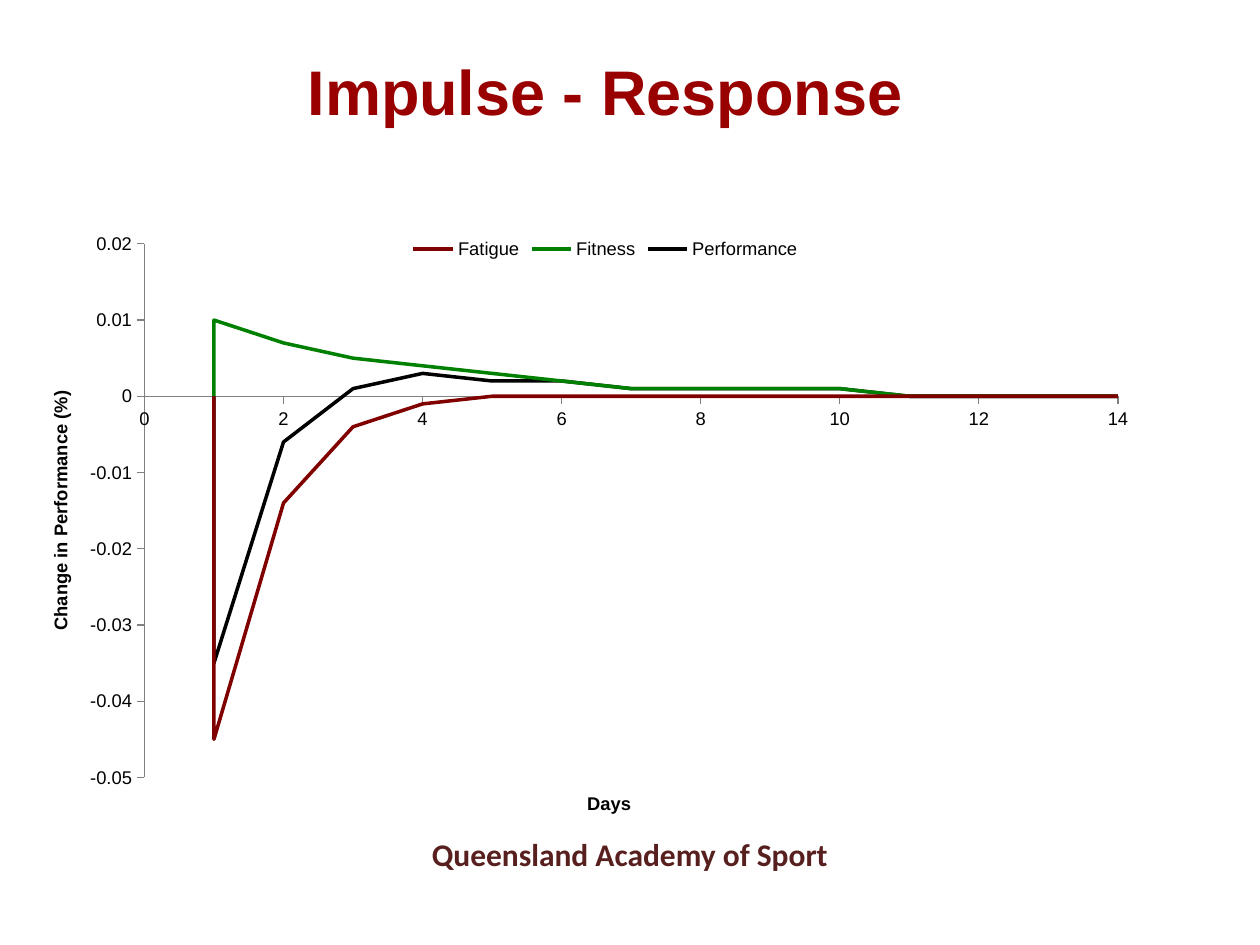
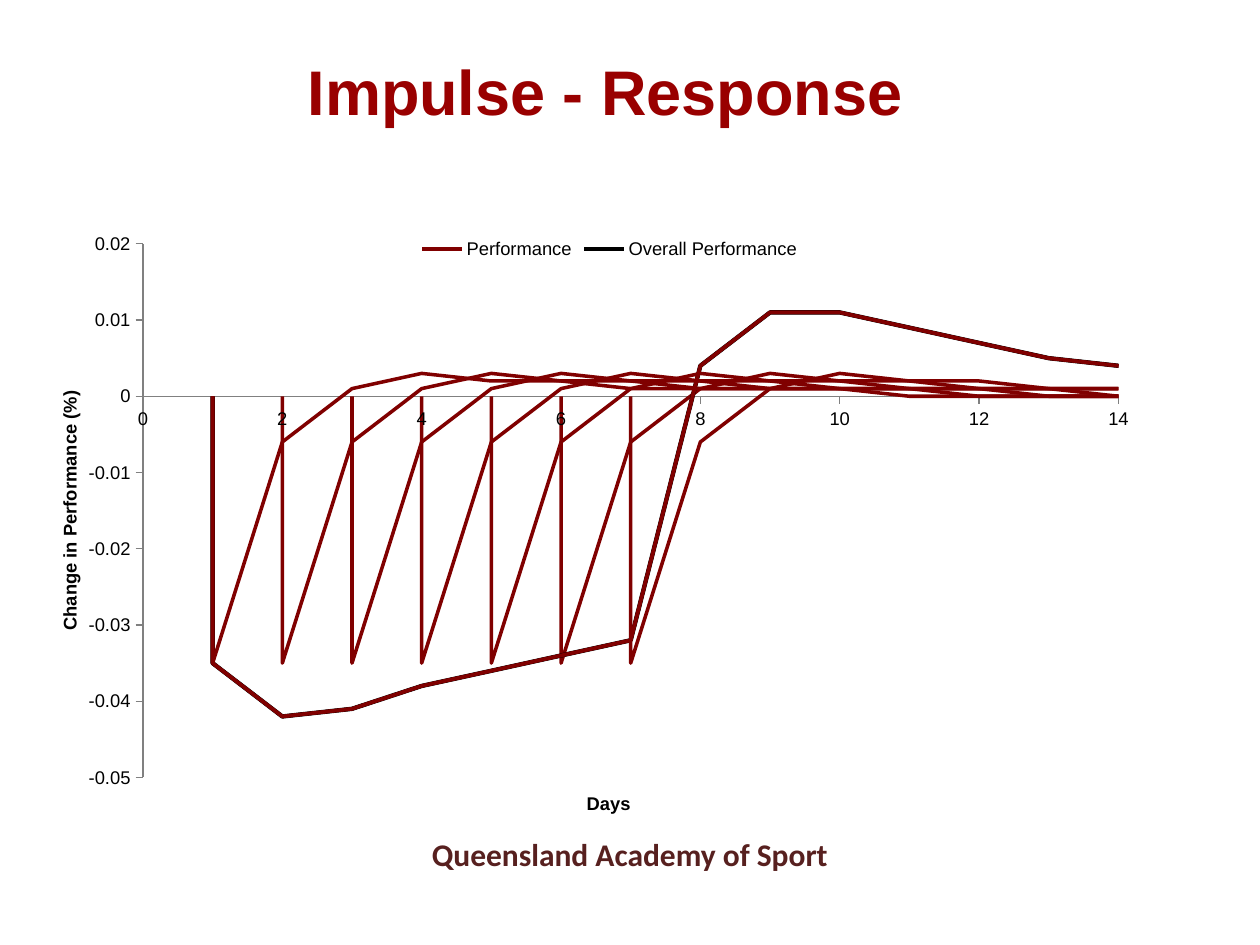
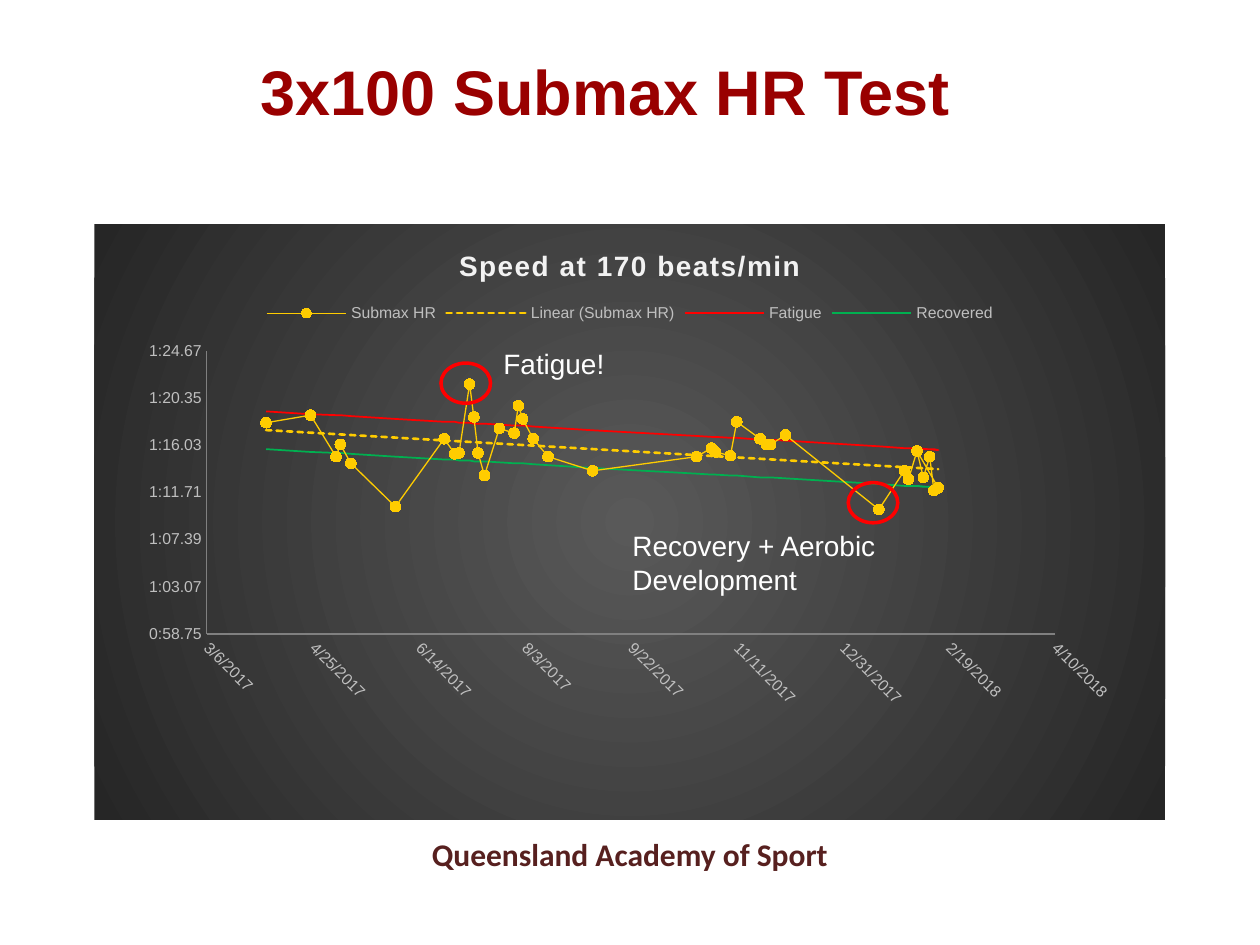
from pptx import Presentation
from pptx.chart.data import XyChartData
from pptx.dml.color import RGBColor
from pptx.enum.chart import XL_CHART_TYPE, XL_LEGEND_POSITION, XL_MARKER_STYLE, XL_TICK_MARK
from pptx.enum.shapes import MSO_SHAPE
from pptx.enum.text import MSO_ANCHOR, PP_ALIGN
from pptx.oxml import parse_xml
from pptx.oxml.ns import nsdecls, qn
from pptx.util import Cm, Pt

SCATTER = XL_CHART_TYPE.XY_SCATTER_LINES
TOP = XL_LEGEND_POSITION.TOP
DOT, BARE = XL_MARKER_STYLE.CIRCLE, XL_MARKER_STYLE.NONE
OUT, OFF = XL_TICK_MARK.OUTSIDE, XL_TICK_MARK.NONE
OVAL = MSO_SHAPE.OVAL
MIDDLE, UPPER = MSO_ANCHOR.MIDDLE, MSO_ANCHOR.TOP
LEFT, CENTER = PP_ALIGN.LEFT, PP_ALIGN.CENTER

HUES = {
    "title": "990000", "footer": "57201F", "black": "000000", "white": "FFFFFF",
    "maroon": "800000", "green": "008000", "axis": "808080", "pale": "BFBFBF",
    "head": "F2F2F2", "gold": "FFCC00", "red": "FF0000", "lime": "00B050",
    "mid": "595959", "edge": "262626",
}
FACE = "Arial"
DAYS = range(1, 26)
TESTS = [
    (43145, 0.000835), (43143, 0.000832), (43141, 0.000868), (43138, 0.000846),
    (43135, 0.000874), (43145, 0.000835), (43143, 0.000832), (43141, 0.000868),
    (43138, 0.000846), (43135, 0.000874), (43131, 0.000844), (43129, 0.000853),
    (43117, 0.000812), (43073, 0.000891), (43066, 0.000881), (43064, 0.000881),
    (43061, 0.000887), (43050, 0.000905), (43047, 0.000869), (43040, 0.000873),
    (43038, 0.000877), (43031, 0.000868), (42982, 0.000853), (42961, 0.000868),
    (42954, 0.000887), (42949, 0.000908), (42947, 0.000922), (42945, 0.000893),
    (42938, 0.000898), (42931, 0.000848), (42928, 0.000872), (42926, 0.00091),
    (42924, 0.000945), (42919, 0.000872), (42917, 0.000871), (42912, 0.000887),
    (42889, 0.000815), (42868, 0.000861), (42863, 0.000881), (42861, 0.000868),
    (42849, 0.000912), (42828, 0.000904),
]


def rgb(hue):
    return RGBColor.from_string(HUES[hue])


def style(font, size, hue, bold=False, face=FACE):
    font.size, font.bold, font.name = Pt(size), bold, face
    font.color.rgb = rgb(hue)


def add_text(slide, box, text, size, hue, bold=False, face=FACE,
             align=LEFT, anchor=UPPER, wrap=True):
    frame = slide.shapes.add_textbox(*map(Cm, box)).text_frame
    frame.word_wrap, frame.vertical_anchor = wrap, anchor
    frame.text = text
    para = frame.paragraphs[0]
    para.alignment = align
    style(para.runs[0].font, size, hue, bold, face)


def add_slide(deck, title):
    slide = deck.slides.add_slide(deck.slide_layouts[6])
    add_text(slide, (8.42, 16.7, 8.56, 1.02), "Queensland Academy of Sport", 18,
             "footer", True, "Calibri", CENTER, wrap=False)
    add_text(slide, (2.7, 0.71, 19, 2.21), title, 36, "title", True,
             align=CENTER, anchor=MIDDLE)
    return slide


def add_ring(slide, box):
    ring = slide.shapes.add_shape(OVAL, *map(Cm, box))
    ring.shadow.inherit = False
    ring.fill.background()
    ring.line.color.rgb = rgb("red")
    ring.line.width = Pt(2)


def set_plot(chart, box):
    area = chart.element.find(qn("c:chart")).find(qn("c:plotArea"))
    for old in area.findall(qn("c:layout")):
        area.remove(old)
    sizes = "".join(f'<c:{key} val="{val}"/>' for key, val in zip("xywh", box))
    area.insert(0, parse_xml(
        f'<c:layout {nsdecls("c")}><c:manualLayout><c:layoutTarget val="inner"/>'
        f'<c:xMode val="edge"/><c:yMode val="edge"/>{sizes}</c:manualLayout></c:layout>'))


def add_chart(slide, box, plot, lines, size, hue):
    data = XyChartData()
    for name, points, *_ in lines:
        part = data.add_series(name)
        for x, y in points:
            part.add_data_point(x, y)
    chart = slide.shapes.add_chart(SCATTER, *map(Cm, box), data).chart
    for point in chart.element.xpath('.//c:pt[c:v="None"]'):
        point.getparent().remove(point)
    chart.has_title = False
    style(chart.font, size, hue)
    chart.has_legend = True
    chart.legend.position = TOP
    chart.legend.include_in_layout = False
    style(chart.legend.font, size, hue)
    for part, (_, _, tint, width) in zip(chart.plots[0].series, lines):
        part.smooth = False
        part.marker.style = BARE
        part.format.line.color.rgb = rgb(tint)
        part.format.line.width = Pt(width)
    set_plot(chart, plot)
    return chart


def set_axis(axis, low, high, step, tick, width, form="General"):
    axis.minimum_scale, axis.maximum_scale, axis.major_unit = low, high, step
    axis.has_major_gridlines = False
    axis.major_tick_mark, axis.minor_tick_mark = tick, OFF
    axis.tick_labels.number_format = form
    axis.tick_labels.number_format_is_linked = False
    axis.format.line.color.rgb = rgb("axis")
    axis.format.line.width = Pt(width)


def name_axis(axis, text, turn):
    frame = axis.axis_title.text_frame
    frame.text = text
    style(frame.paragraphs[0].runs[0].font, 10.5, "black", True)
    frame._txBody.bodyPr.set("rot", str(turn * 60000))


def add_model(slide, box, plot, lines):
    chart = add_chart(slide, box, plot, lines, 10.5, "black")
    set_axis(chart.category_axis, 0, 14, 2, OUT, 0)
    set_axis(chart.value_axis, -0.05, 0.02, 0.01, OUT, 0)
    name_axis(chart.category_axis, "Days", 0)
    name_axis(chart.value_axis, "Change in Performance (%)", -90)
    return chart


def hide_keys(chart, keys):
    spot = chart.legend._element.find(qn("c:legendPos"))
    for key in reversed(keys):
        spot.addnext(parse_xml(f'<c:legendEntry {nsdecls("c")}><c:idx val="{key}"/>'
                               '<c:delete val="1"/></c:legendEntry>'))


def fill_glow(chart):
    stops = "".join(f'<a:gs pos="{pos}"><a:srgbClr val="{HUES[hue]}"/></a:gs>'
                    for pos, hue in ((0, "mid"), (100000, "edge")))
    chart.element.find(qn("c:chart")).addnext(parse_xml(
        f'<c:spPr {nsdecls("c", "a")}><a:gradFill><a:gsLst>{stops}</a:gsLst>'
        '<a:path path="circle"><a:fillToRect l="50000" t="50000" r="50000" b="50000"/>'
        '</a:path></a:gradFill><a:ln><a:noFill/></a:ln></c:spPr>'))


def add_trend(part):
    part._element.find(qn("c:xVal")).addprevious(parse_xml(
        f'<c:trendline {nsdecls("c", "a")}><c:spPr><a:ln w="19050" cap="rnd"><a:solidFill>'
        f'<a:srgbClr val="{HUES["gold"]}"/></a:solidFill><a:prstDash val="sysDash"/></a:ln>'
        '</c:spPr><c:trendlineType val="linear"/><c:dispRSqr val="0"/><c:dispEq val="0"/>'
        '</c:trendline>'))


def fitness(age):
    return 0.00985 * 0.73 ** age


def fatigue(age):
    return -0.0452 * 0.3012 ** age


def effect(age):
    return fitness(age) + fatigue(age)


def session(start, rule):
    rest = [(day, round(rule(day - start), 3)) for day in DAYS if day >= start]
    return [(None, None)] * (start - 1) + [(start, 0)] + rest


def overall():
    sums = [sum(effect(day - start) for start in range(1, 8) if start <= day) for day in DAYS]
    return [(1, 0)] + [(day, round(val, 3)) for day, val in zip(DAYS, sums)]


def band(top):
    return [(day, round(top - 1.28e-7 * (day - 42828), 6)) for day, _ in TESTS]


def impulse_slide(deck):
    slide = add_slide(deck, "Impulse - Response")
    rules = (("Fatigue", fatigue, "maroon"), ("Fitness", fitness, "green"),
             ("Performance", effect, "black"))
    lines = [(name, session(1, rule), hue, 2) for name, rule, hue in rules]
    add_model(slide, (0.9, 4.52, 22.61, 12.01), (0.089, 0.033, 0.868, 0.896), lines)


def weekly_slide(deck):
    slide = add_slide(deck, "Impulse - Response")
    starts = (0, 7, 5, 0, 4, 2, 1, 0, 3, 6, 0)
    shown = {2: "Performance", 7: "Overall Performance"}
    lines = []
    for key, start in enumerate(starts):
        points = session(start, effect) if start else overall()
        look = ("black", 2.5) if key == 7 else ("maroon", 2)
        lines.append((shown.get(key, f"Series {key + 1}"), points, *look))
    chart = add_model(slide, (1.09, 4.52, 22.4, 12.01), (0.08, 0.033, 0.878, 0.896), lines)
    hide_keys(chart, [key for key in range(len(starts)) if key not in shown])


def submax_slide(deck):
    slide = add_slide(deck, "3x100 Submax HR Test")
    lines = [("Submax HR", TESTS, "gold", 0.75), ("Fatigue", band(0.000916), "red", 1),
             ("Recovered", band(0.000876), "lime", 1)]
    chart = add_chart(slide, (1.9, 4.52, 21.59, 12.01), (0.105, 0.213, 0.792, 0.475),
                      lines, 9, "pale")
    set_axis(chart.category_axis, 42800, 43200, 50, OFF, 0.75, "m/d/yyyy")
    set_axis(chart.value_axis, 0.00068, 0.00098, 0.00005, OFF, 0.75, "m:ss.00")
    style(chart.category_axis.tick_labels.font, 9, "pale")
    turn = chart.category_axis._element.find(qn("c:txPr")).find(qn("a:bodyPr"))
    turn.set("rot", str(45 * 60000))
    head = chart.chart_title.text_frame
    head.text = "Speed at 170 beats/min"
    run = head.paragraphs[0].runs[0]
    style(run.font, 16, "head", True)
    run.font._element.set("spc", "100")
    fill_glow(chart)
    tests = chart.plots[0].series[0]
    tests.marker.style, tests.marker.size = DOT, 6
    tests.marker.format.fill.solid()
    tests.marker.format.fill.fore_color.rgb = rgb("gold")
    tests.marker.format.line.color.rgb = rgb("gold")
    add_trend(tests)
    add_ring(slide, (8.89, 7.32, 1, 0.81))
    add_text(slide, (9.9, 6.86, 3.81, 0.94), "Fatigue!", 16, "white")
    add_ring(slide, (17.1, 9.73, 1, 0.81))
    add_text(slide, (12.5, 10.54, 5.79, 1.63), "Recovery + Aerobic Development", 16, "white")


def main():
    deck = Presentation()
    deck.slide_width, deck.slide_height = Cm(25.4), Cm(19.05)
    impulse_slide(deck)
    weekly_slide(deck)
    submax_slide(deck)
    deck.save("out.pptx")


if __name__ == "__main__":
    main()
